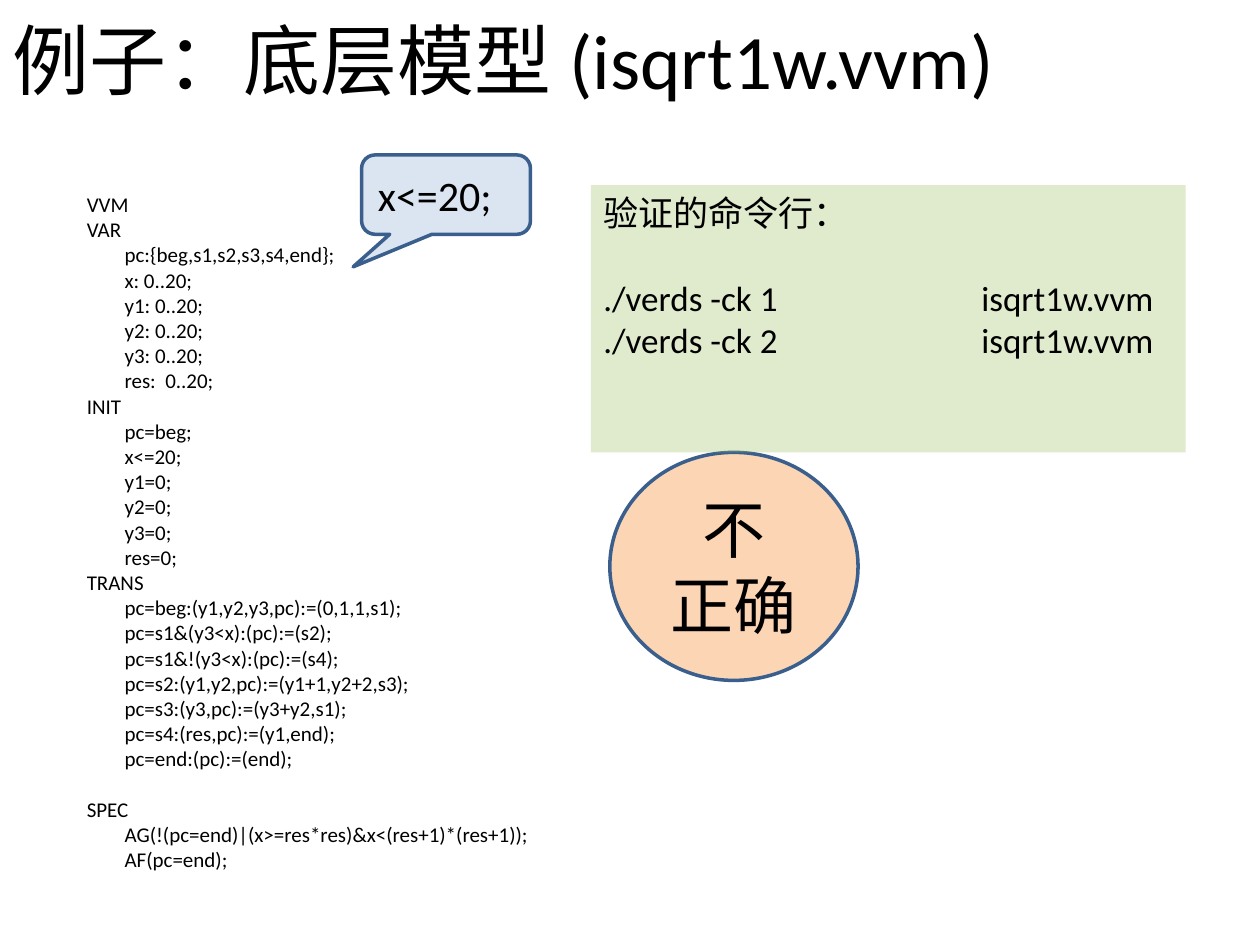
import pptx
import pptx.util
import pptx.dml.color
import pptx.enum.shapes
import pptx.enum.text
import pptx.oxml.ns
from dataclasses import dataclass
from lxml import etree

Inches = pptx.util.Inches
Pt = pptx.util.Pt
SHAPE = pptx.enum.shapes.MSO_SHAPE
ANCHOR = pptx.enum.text.MSO_ANCHOR
ALIGN = pptx.enum.text.PP_ALIGN
qn = pptx.oxml.ns.qn


@dataclass(frozen=True)
class Theme:
    font: str = "Calibri"
    ink: str = "000000"
    outline: str = "3A5F8C"
    verdict: str = "FCD5B5"
    panel: str = "9BBB59"
    callout: str = "4F81BD"
    title_size: int = 44
    verdict_size: int = 36
    callout_size: int = 24
    panel_size: int = 20
    code_size: int = 12


MODEL = """VVM
VAR
        pc:{beg,s1,s2,s3,s4,end};
        x: 0..20;
        y1: 0..20;
        y2: 0..20;
        y3: 0..20;
        res:  0..20;
INIT
        pc=beg;
        x<=20;
        y1=0;
        y2=0;
        y3=0;
        res=0;
TRANS
        pc=beg:(y1,y2,y3,pc):=(0,1,1,s1);
        pc=s1&(y3<x):(pc):=(s2);
        pc=s1&!(y3<x):(pc):=(s4);
        pc=s2:(y1,y2,pc):=(y1+1,y2+2,s3);
        pc=s3:(y3,pc):=(y3+y2,s1);
        pc=s4:(res,pc):=(y1,end);
        pc=end:(pc):=(end);
SPEC
        AG(!(pc=end)|(x>=res*res)&x<(res+1)*(res+1));
        AF(pc=end);""".split("\n")

COMMANDS = ["验证的命令行："] + [f"./verds -ck {n}\tisqrt1w.vvm" for n in (1, 2)]


class SlideBuilder:
    def __init__(self, slide, theme):
        self.slide = slide
        self.theme = theme

    def add_lines(self, shape, lines, size, anchor=ANCHOR.TOP, align=ALIGN.LEFT,
                  gap_before=None, tab=None):
        """Fill a shape with lines; one line's height is left empty above line gap_before."""
        frame = shape.text_frame
        frame.word_wrap = True
        frame.vertical_anchor = anchor
        for index, line in enumerate(lines):
            paragraph = frame.paragraphs[0] if index == 0 else frame.add_paragraph()
            paragraph.alignment = align
            if index == gap_before:
                paragraph.space_before = Pt(round(size * 1.22, 1))
            if tab and "\t" in line:
                stops = etree.SubElement(paragraph._p.get_or_add_pPr(), qn("a:tabLst"))
                etree.SubElement(stops, qn("a:tab"), pos=str(tab), algn="l")
            run = paragraph.add_run()
            run.text = line
            run.font.name = self.theme.font
            run.font.size = Pt(size)
            run.font.color.rgb = pptx.dml.color.RGBColor.from_string(self.theme.ink)

    def text(self, box, lines, size, **layout):
        textbox = self.slide.shapes.add_textbox(*map(Inches, box))
        self.add_lines(textbox, lines, size, **layout)

    def shape(self, kind, box, fill, lines, size, opacity=100, outlined=True,
              adjustments=(), **layout):
        shape = self.slide.shapes.add_shape(kind, *map(Inches, box))
        shape.shadow.inherit = False
        for index, value in enumerate(adjustments):
            shape.adjustments[index] = value
        shape.fill.solid()
        shape.fill.fore_color.rgb = pptx.dml.color.RGBColor.from_string(fill)
        if opacity < 100:
            color = shape._element.spPr.find(qn("a:solidFill"))[0]
            etree.SubElement(color, qn("a:alpha"), val=str(opacity * 1000))
        if outlined:
            shape.line.color.rgb = pptx.dml.color.RGBColor.from_string(self.theme.outline)
            shape.line.width = Pt(2)
        else:
            shape.line.fill.background()
        self.add_lines(shape, lines, size, **layout)


def main():
    presentation = pptx.Presentation()
    presentation.slide_width = Inches(10)
    presentation.slide_height = Inches(7.5)
    theme = Theme()
    builder = SlideBuilder(
        presentation.slides.add_slide(presentation.slide_layouts[6]), theme)

    builder.text((0, 0.02, 10, 0.9), ["例子：底层模型 (isqrt1w.vvm)"],
                 theme.title_size, anchor=ANCHOR.MIDDLE)
    builder.text((0.59, 1.47, 8.82, 5.55), MODEL, theme.code_size,
                 gap_before=MODEL.index("SPEC"))
    builder.shape(SHAPE.OVAL, (4.84, 3.59, 1.97, 1.81), theme.verdict,
                  ["不", "正确"], theme.verdict_size,
                  anchor=ANCHOR.MIDDLE, align=ALIGN.CENTER)
    builder.shape(SHAPE.RECTANGLE, (4.69, 1.47, 4.72, 2.12), theme.panel,
                  COMMANDS, theme.panel_size, opacity=30, outlined=False,
                  gap_before=1, tab=Inches(3))
    builder.shape(SHAPE.ROUNDED_RECTANGULAR_CALLOUT, (2.87, 1.23, 1.34, 0.63),
                  theme.callout, ["x<=20;"], theme.callout_size, opacity=20,
                  adjustments=(-0.55, 0.91, 0.17), anchor=ANCHOR.MIDDLE)

    presentation.save("out.pptx")


if __name__ == "__main__":
    main()
